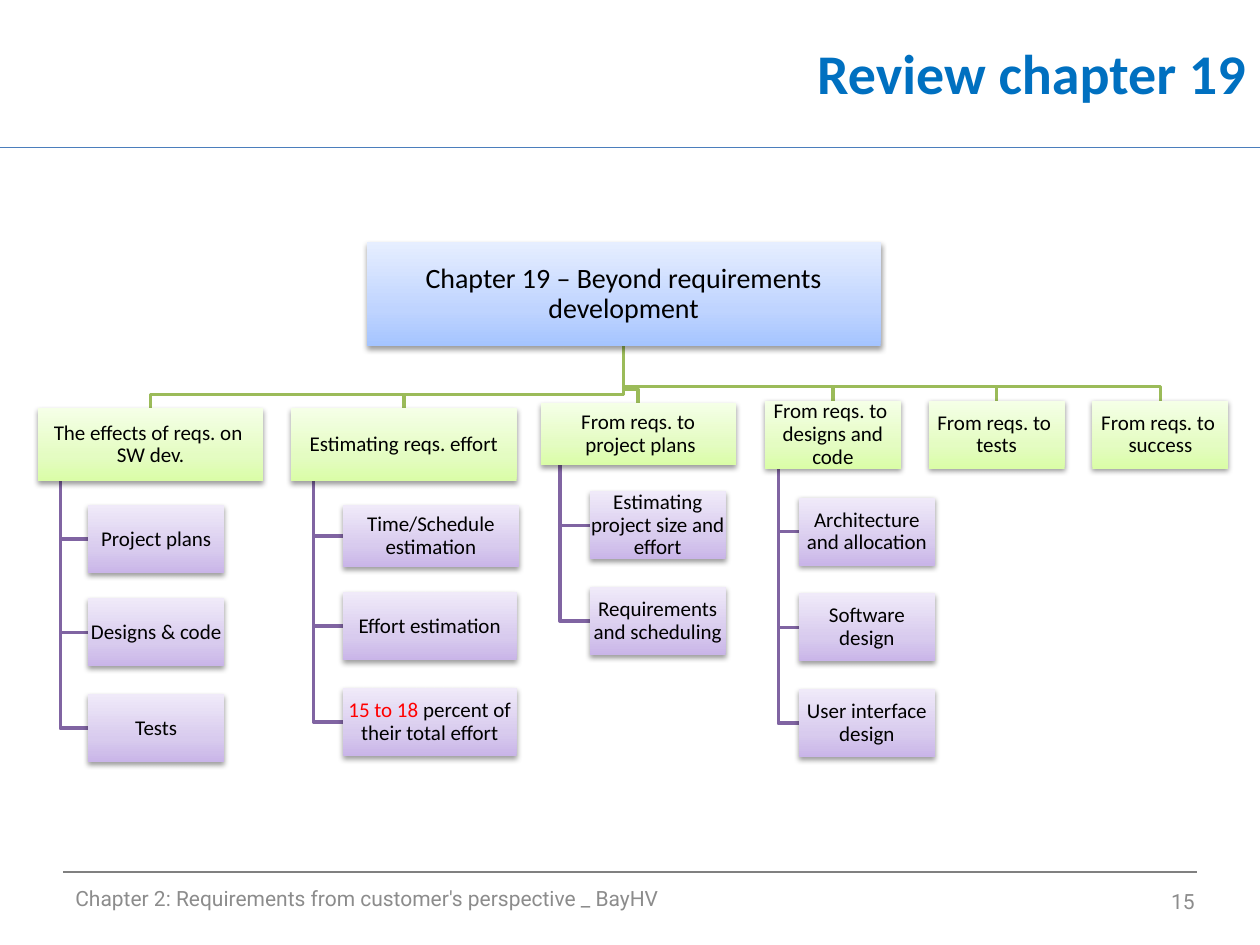
"""Build the chapter 19 review slide with its three-level topic tree."""
from copy import deepcopy

from lxml import etree
from pptx import Presentation
from pptx.dml.color import RGBColor
from pptx.enum.shapes import MSO_CONNECTOR, MSO_SHAPE
from pptx.enum.text import MSO_ANCHOR, PP_ALIGN
from pptx.oxml.ns import qn
from pptx.util import Inches, Pt

LEFT, CENTER, RIGHT = PP_ALIGN.LEFT, PP_ALIGN.CENTER, PP_ALIGN.RIGHT
MIDDLE = MSO_ANCHOR.MIDDLE
RECTANGLE, STRAIGHT = MSO_SHAPE.RECTANGLE, MSO_CONNECTOR.STRAIGHT

BLACK = RGBColor(0x00, 0x00, 0x00)
RED = RGBColor(0xFF, 0x00, 0x00)
TITLE_BLUE = RGBColor(0x00, 0x70, 0xC0)
RULE_BLUE = RGBColor(0x4B, 0x7E, 0xBC)
RULE_GRAY = RGBColor(0x80, 0x80, 0x80)
FOOTER_GRAY = RGBColor(0x8C, 0x8C, 0x8C)
GREEN = RGBColor(0x9B, 0xBB, 0x59)
PURPLE = RGBColor(0x80, 0x64, 0xA2)
BLUE_SHADES = [RGBColor(0xA4, 0xC4, 0xFF), RGBColor(0xBF, 0xD4, 0xFF), RGBColor(0xE6, 0xEE, 0xFF)]
GREEN_SHADES = [RGBColor(0xDA, 0xFD, 0xA7), RGBColor(0xE4, 0xFC, 0xC2), RGBColor(0xF5, 0xFF, 0xE7)]
PURPLE_SHADES = [RGBColor(0xC9, 0xB5, 0xE8), RGBColor(0xD8, 0xCB, 0xEE), RGBColor(0xF0, 0xEA, 0xF9)]
STOP_POSITIONS = [0, 0.35, 1]

TITLE = "Review chapter 19"
FOOTERS = [
    ("Chapter 2: Requirements from customer's perspective _ BayHV", (0.5, 6.93, 6.67, 0.4), LEFT),
    ("15", (7.25, 6.95, 2.33, 0.4), RIGHT),
]
RULES = [(0, 10, 1.17, RULE_BLUE), (0.5, 9.5, 6.92, RULE_GRAY)]

ROOT = ([("Chapter 19 – Beyond requirements development", BLACK)], (2.91, 1.92, 4.08, 0.83))
BRANCHES = [
    ("The effects of reqs. on \nSW dev.", (0.3, 3.24, 1.79, 0.58), 0.7, [
        ([("Project plans", BLACK)], 4.01, 1.08, 0.54),
        ([("Designs & code", BLACK)], 4.75, 1.08, 0.54),
        ([("Tests", BLACK)], 5.51, 1.08, 0.54),
    ]),
    ("Estimating reqs. effort", (2.31, 3.24, 1.79, 0.58), 2.72, [
        ([("Time/Schedule estimation", BLACK)], 4.01, 1.4, 0.49),
        ([("Effort estimation", BLACK)], 4.7, 1.38, 0.54),
        ([("15 to 18 ", RED), ("percent of their total effort", BLACK)], 5.46, 1.38, 0.54),
    ]),
    ("From reqs. to\n project plans", (4.29, 3.2, 1.55, 0.49), 4.68, [
        ([("Estimating project size and effort", BLACK)], 3.9, 1.08, 0.54),
        ([("Requirements and scheduling", BLACK)], 4.66, 1.08, 0.54),
    ]),
    ("From reqs. to \ndesigns and code", (6.07, 3.18, 1.08, 0.54), 6.34, [
        ([("Architecture and allocation", BLACK)], 3.95, 1.08, 0.54),
        ([("Software design", BLACK)], 4.71, 1.08, 0.54),
        ([("User interface design", BLACK)], 5.47, 1.08, 0.54),
    ]),
    ("From reqs. to \ntests", (7.37, 3.18, 1.08, 0.54), None, []),
    ("From reqs. to \nsuccess", (8.67, 3.18, 1.08, 0.54), None, []),
]
ELBOW_RISE = 0.11
TRUNK_SHARE = 0.1


def place(shape, frame):
    shape.left, shape.top, shape.width, shape.height = map(Inches, frame)


def write(shape, spans, size, font, align, bold=False):
    frame = shape.text_frame
    frame.word_wrap = True
    frame.vertical_anchor = MIDDLE
    para = frame.paragraphs[0]
    para.alignment = align
    for text, color in spans:
        for index, piece in enumerate(text.split("\n")):
            if index:
                para.add_line_break()
            span = para.add_run()
            span.text = piece
            span.font.size = Pt(size)
            span.font.name = font
            span.font.bold = bold
            span.font.color.rgb = color
    return para


def add_rule(slide, start, end, y, color):
    rule = slide.shapes.add_connector(STRAIGHT, Inches(start), Inches(y), Inches(end), Inches(y))
    rule.line.color.rgb = color
    rule.line.width = Pt(0.75)
    etree.SubElement(rule._element.spPr, qn("a:effectLst"))


def add_link(slide, points, color):
    corners = [(Inches(x), Inches(y)) for x, y in points]
    builder = slide.shapes.build_freeform(*corners[0])
    builder.add_line_segments(corners[1:], close=False)
    link = builder.convert_to_shape()
    link.shadow.inherit = False
    link.fill.background()
    link.line.color.rgb = color
    link.line.width = Pt(2)


def add_topic(slide, spans, frame, shades, size=12):
    box = slide.shapes.add_shape(RECTANGLE, *map(Inches, frame))
    box.line.fill.background()
    box.fill.gradient()
    box.fill.gradient_angle = 90
    properties = box._element.spPr
    stops = properties.find(".//" + qn("a:gsLst"))
    stops.append(deepcopy(stops[0]))
    for stop, position, shade in zip(box.fill.gradient_stops, STOP_POSITIONS, shades):
        stop.position = position
        stop.color.rgb = shade
    box.shadow.inherit = False
    shadow = etree.SubElement(properties.find(qn("a:effectLst")), qn("a:outerShdw"),
                              blurRad="40000", dist="20000", dir="5400000", rotWithShape="0")
    tint = etree.SubElement(shadow, qn("a:srgbClr"), val="000000")
    etree.SubElement(tint, qn("a:alpha"), val="38000")
    text = box.text_frame
    text.margin_left = text.margin_right = text.margin_top = text.margin_bottom = Inches(0.01)
    write(box, spans, size, "Calibri", CENTER).line_spacing = 0.9


def add_links(slide):
    left, top, width, height = ROOT[1]
    root_x, root_y = left + width / 2, top + height
    for _, (left, top, width, height), leaf_left, leaves in reversed(BRANCHES):
        trunk_x = left + TRUNK_SHARE * width
        for _, leaf_top, _, leaf_height in reversed(leaves):
            leaf_y = leaf_top + leaf_height / 2
            add_link(slide, [(trunk_x, top + height), (trunk_x, leaf_y), (leaf_left, leaf_y)], PURPLE)
        middle, elbow = left + width / 2, top - ELBOW_RISE
        add_link(slide, [(root_x, root_y), (root_x, elbow), (middle, elbow), (middle, top)], GREEN)


def add_topics(slide):
    add_topic(slide, *ROOT, BLUE_SHADES, 16)
    for label, frame, leaf_left, leaves in BRANCHES:
        add_topic(slide, [(label, BLACK)], frame, GREEN_SHADES)
        for spans, top, width, height in leaves:
            add_topic(slide, spans, (leaf_left, top, width, height), PURPLE_SHADES)


def main():
    deck = Presentation()
    deck.slide_width, deck.slide_height = Inches(10), Inches(7.5)
    slide = deck.slides.add_slide(deck.slide_layouts[5])
    for rule in RULES:
        add_rule(slide, *rule)
    place(slide.shapes.title, (2.9, 0, 7.09, 1.15))
    write(slide.shapes.title, [(TITLE, TITLE_BLUE)], 32, "Calibri", RIGHT, bold=True)
    for text, frame, align in FOOTERS:
        box = slide.shapes.add_textbox(*map(Inches, frame))
        write(box, [(text, FOOTER_GRAY)], 12, "Roboto", align)
    add_links(slide)
    add_topics(slide)
    deck.save("out.pptx")


if __name__ == "__main__":
    main()
